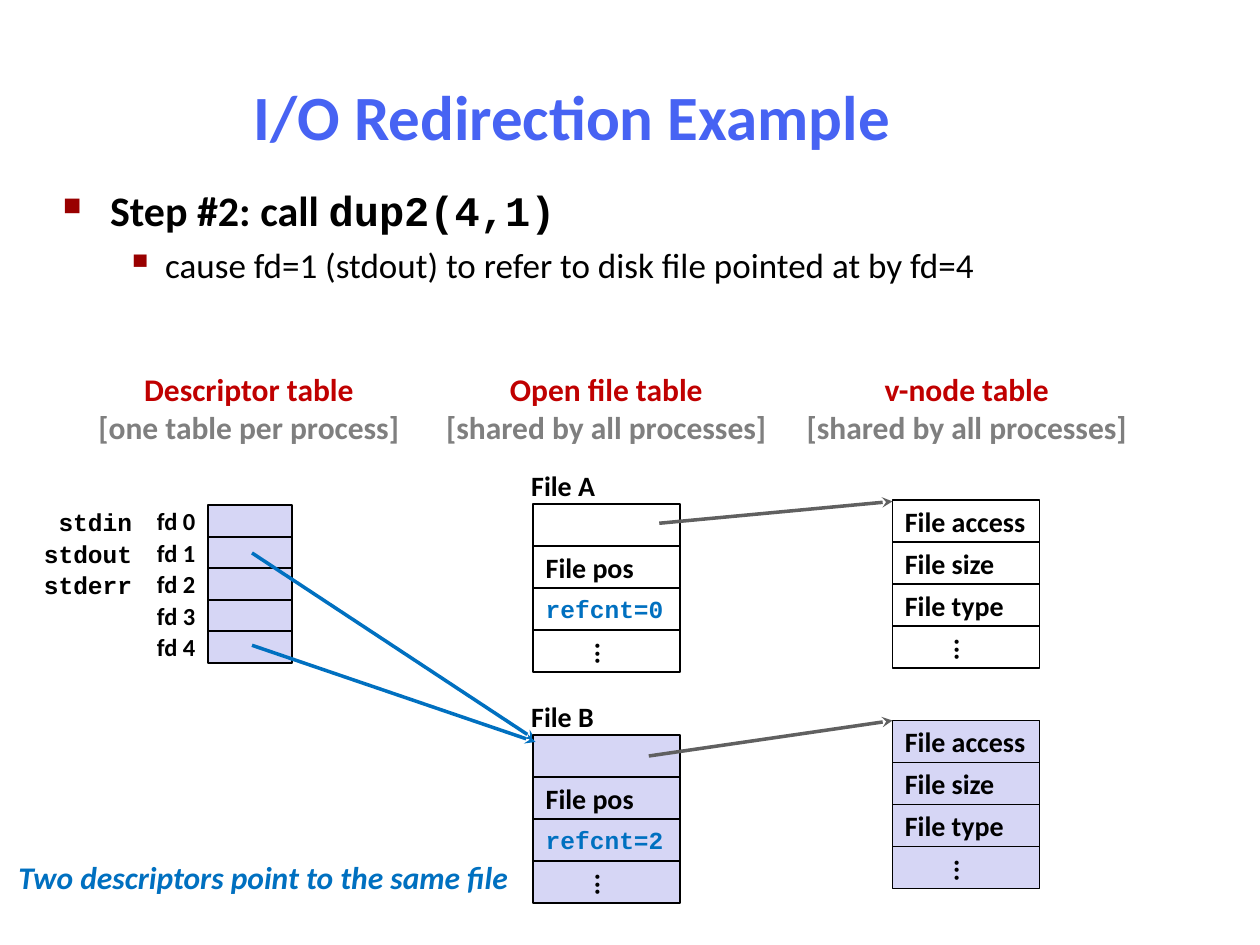
"""Build the I/O redirection slide with its descriptor, open file and v-node tables."""
from lxml import etree
from pptx import Presentation
from pptx import util as u
from pptx.dml.color import RGBColor
from pptx.enum import shapes, text
from pptx.oxml.ns import qn

BLACK = RGBColor(0x00, 0x00, 0x00)
WHITE = RGBColor(0xFF, 0xFF, 0xFF)
LAVENDER = RGBColor(0xD6, 0xD6, 0xF5)
TITLE_BLUE = RGBColor(0x47, 0x63, 0xF3)
BLUE = RGBColor(0x00, 0x70, 0xC0)
RED = RGBColor(0xC0, 0x00, 0x00)
BULLET_RED = RGBColor(0x99, 0x00, 0x00)
GRAY = RGBColor(0x7F, 0x7F, 0x7F)
ARROW_GRAY = RGBColor(0x60, 0x60, 0x60)

LEFT, CENTER, RIGHT = text.PP_ALIGN.LEFT, text.PP_ALIGN.CENTER, text.PP_ALIGN.RIGHT
CODE = {"name": "Courier New", "size": 14}
LABEL = {"size": 16}
FD_ROW, FILE_ROW, FILE_WIDTH = 18, 24, 84


class SlideBuilder:
    BASE = {"name": "Calibri", "size": 18, "bold": True, "italic": False, "color": BLACK}

    def __init__(self, s):
        self.s = s

    def run(self, p, words, fmt):
        r = p.add_run()
        r.text = words
        for key, value in {**self.BASE, **fmt}.items():
            if key == "color":
                r.font.color.rgb = value
            else:
                setattr(r.font, key, u.Pt(value) if key == "size" else value)

    def frame(self, sp, paragraphs, align=LEFT, wrap=False, anchor=text.MSO_ANCHOR.MIDDLE):
        tf = sp.text_frame
        settings = {"word_wrap": wrap, "vertical_anchor": anchor,
                    "auto_size": text.MSO_AUTO_SIZE.NONE}
        for key, value in settings.items():
            setattr(tf, key, value)
        for i, runs in enumerate(paragraphs):
            p = tf.add_paragraph() if i else tf.paragraphs[0]
            p.alignment = align
            for words, fmt in runs:
                self.run(p, words, fmt)
        return tf

    def title(self, words, box, fmt):
        sp = self.s.shapes.title
        for key, value in zip(("left", "top", "width", "height"), box):
            setattr(sp, key, u.Pt(value))
        self.frame(sp, [[(words, fmt)]], CENTER, True)

    def label(self, paragraphs, box, **options):
        sp = self.s.shapes.add_textbox(*map(u.Pt, box))
        return self.frame(sp, paragraphs, **options)

    def bullet(self, p, char, percent, margin, indent):
        pPr = p._p.get_or_add_pPr()
        pPr.set("marL", str(u.Pt(margin)))
        pPr.set("indent", str(u.Pt(-indent)))
        color = etree.SubElement(pPr, qn("a:buClr"))
        etree.SubElement(color, qn("a:srgbClr"), val=str(BULLET_RED))
        etree.SubElement(pPr, qn("a:buSzPct"), val=str(percent * 1000))
        etree.SubElement(pPr, qn("a:buChar"), char=char)

    def cell(self, words, box, fill, fmt):
        sp = self.s.shapes.add_shape(shapes.MSO_SHAPE.RECTANGLE, *map(u.Pt, box))
        sp.shadow.inherit = False
        sp.fill.solid()
        sp.fill.fore_color.rgb = fill
        sp.line.color.rgb = BLACK
        sp.line.width = u.Pt(1)
        if not words:
            return
        tf = self.frame(sp, [[(words, fmt)]])
        if words == "...":
            tf._txBody.bodyPr.set("vert", "eaVert")
            for side, inset in zip(("left", "top", "right", "bottom"), (3.6, 7.2) * 2):
                setattr(tf, f"margin_{side}", u.Pt(inset))

    def column(self, rows, left, top, width, height, fill):
        for i, (words, fmt) in enumerate(rows):
            self.cell(words, (left, top + i * height, width, height), fill, fmt)

    def arrow(self, start, end, color):
        c = self.s.shapes.add_connector(shapes.MSO_CONNECTOR.STRAIGHT, *map(u.Pt, start + end))
        c.line.color.rgb = color
        c.line.width = u.Pt(2)
        etree.SubElement(c.line._get_or_add_ln(), qn("a:tailEnd"), type="stealth")
        etree.SubElement(c._element.spPr, qn("a:effectLst"))


def main():
    prs = Presentation()
    prs.slide_width, prs.slide_height = u.Pt(720), u.Pt(540)
    b = SlideBuilder(prs.slides.add_slide(prs.slide_layouts[5]))

    b.title("I/O Redirection Example", (28, 36, 597.6, 60), {"size": 36, "color": TITLE_BLUE})
    tf = b.label([
        [("Step #2: call ", {"size": 24}), ("dup2(4,1)", {"name": "Courier New", "size": 24})],
        [("cause fd=1 (stdout) to refer to disk file pointed at by fd=4",
          {"size": 20, "bold": False})],
    ], (28.8, 102, 679, 78), wrap=True, anchor=text.MSO_ANCHOR.TOP)
    step, detail = tf.paragraphs
    b.bullet(step, "■", 60, 27, 27)
    b.bullet(detail, "▪", 110, 58.5, 22.5)
    detail.level = 1
    detail.space_before = u.Pt(5)

    b.column([("", {})] * 5, 118.8, 288.75, 48, FD_ROW, LAVENDER)
    for i in range(5):
        b.label([[(f"fd {i}", {"size": 14})]], (70.8, 288.75 + i * FD_ROW, 48, FD_ROW),
                align=RIGHT)
    for i, stream in enumerate(("stdin", "stdout", "stderr")):
        width = 14.4 + 8.4 * len(stream)
        b.label([[(stream, CODE)]], (82.8 - width, 286 + i * FD_ROW, width, 24.4))

    for name, scope, left, width in (
            ("Descriptor table", "one table per process", 49, 186.5),
            ("Open file table", "shared by all processes", 247.5, 198),
            ("v-node table", "shared by all processes", 453.5, 198)):
        b.label([[(name, {"color": RED})], [(f"[{scope}]", {"color": GRAY})]],
                (left, 208, width, 50.4), align=CENTER)

    b.arrow((144, 316), (306, 422.75), BLUE)
    for name, count, top, node_top, fill, start, tip in (
            ("File A", 0, 288, 285.75, WHITE, (376.75, 299), (510, 286.5)),
            ("File B", 2, 420, 411.75, LAVENDER, (370.75, 432), (510, 411.75))):
        b.label([[(name, LABEL)]], (296.5, top - 24, 50.4, 26.6))
        b.column([("", {}), ("File pos", LABEL),
                  (f"refcnt={count}", {**CODE, "color": BLUE}), ("...", LABEL)],
                 304.75, top, FILE_WIDTH, FILE_ROW, fill)
        b.column([(words, LABEL) for words in ("File access", "File size", "File type", "...")],
                 510, node_top, FILE_WIDTH, FILE_ROW, fill)
        b.arrow(start, tip, ARROW_GRAY)
    b.arrow((144, 368.75), (306, 424), BLUE)
    b.label([[("Two descriptors point to the same file", {"color": BLUE, "italic": True})]],
            (3, 486.75, 295, 29), align=CENTER)

    prs.save("out.pptx")


if __name__ == "__main__":
    main()
